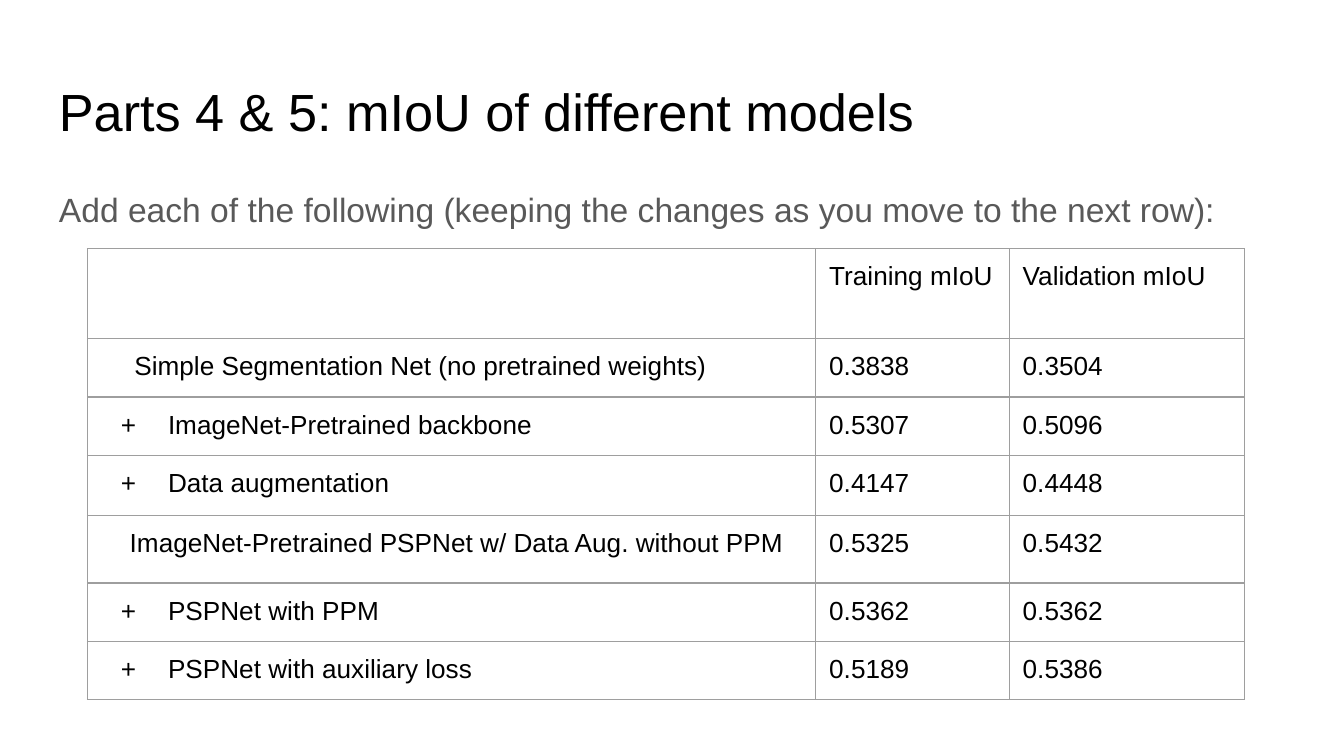
from dataclasses import dataclass
from lxml.etree import SubElement
from pptx import Presentation
from pptx.dml.color import RGBColor
from pptx.oxml.ns import qn
from pptx.util import Emu, Pt

SCALE = 4572
INSET = 20
INK, GREY, RULE = "000000", "595959", "9E9E9E"


@dataclass
class Row:
    label: str
    train: str
    valid: str
    high: int
    left: int = 0
    mark: str = ""


ROWS = [
    Row("", "Training mIoU", "Validation mIoU", 134),
    Row("Simple Segmentation Net (no pretrained weights)", "0.3838", "0.3504", 86, 50),
    Row("ImageNet-Pretrained backbone", "0.5307", "0.5096", 86, 100, "+"),
    Row("Data augmentation", "0.4147", "0.4448", 90, 100, "+"),
    Row("ImageNet-Pretrained PSPNet w/ Data Aug. without PPM", "0.5325", "0.5432", 100, 43),
    Row("PSPNet with PPM", "0.5362", "0.5362", 86, 100, "+"),
    Row("PSPNet with auxiliary loss", "0.5189", "0.5386", 86, 100, "+"),
]
WIDTHS = [1084, 288, 350]


def px(n: int) -> Emu:
    return Emu(n * SCALE)


def color(code: str) -> RGBColor:
    return RGBColor.from_string(code)


def write(frame, text: str, *, size: int = 14, ink: str = INK,
          space: float = 1.0, left: int = 0, mark: str = "") -> None:
    frame.word_wrap = True
    para = frame.paragraphs[0]
    para.line_spacing = space
    para.font.size = Pt(size)
    if text:
        run = para.add_run()
        run.text = text
        run.font.name = "Arial"
        run.font.size = Pt(size)
        run.font.color.rgb = color(ink)
    props = para._p.get_or_add_pPr()
    props.set("marL", str(px(left)))
    props.set("indent", str(px(-70 if mark else 0)))
    if mark:
        tint = SubElement(props, qn("a:buClr"))
        SubElement(tint, qn("a:srgbClr"), val=ink)
        SubElement(props, qn("a:buFont"), typeface="Arial")
        SubElement(props, qn("a:buChar"), char=mark)


def pad(item) -> None:
    item.margin_left = item.margin_right = px(INSET)
    item.margin_top = item.margin_bottom = px(INSET)


def add_text(slide, text: str, top: int, high: int, **style) -> None:
    box = slide.shapes.add_textbox(px(68), px(top), px(1864), px(high))
    pad(box.text_frame)
    write(box.text_frame, text, **style)


def edge(cell) -> None:
    props = cell._tc.get_or_add_tcPr()
    for side in ("lnL", "lnR", "lnT", "lnB"):
        line = SubElement(props, qn(f"a:{side}"), w=str(Pt(0.75)))
        fill = SubElement(line, qn("a:solidFill"))
        SubElement(fill, qn("a:srgbClr"), val=RULE)
    cell.fill.background()


def add_grid(slide, rows: list[Row]) -> None:
    high = sum(row.high for row in rows)
    shape = slide.shapes.add_table(len(rows), len(WIDTHS), px(130), px(370),
                                   px(sum(WIDTHS)), px(high))
    table = shape.table
    table.first_row = table.horz_banding = False
    for col, width in zip(table.columns, WIDTHS):
        col.width = px(width)
    for i, row in enumerate(rows):
        table.rows[i].height = px(row.high)
        for j, text in enumerate((row.label, row.train, row.valid)):
            cell = table.cell(i, j)
            pad(cell)
            edge(cell)
            style = {} if j else {"left": row.left, "mark": row.mark}
            write(cell.text_frame, text, **style)


def main() -> None:
    deck = Presentation()
    deck.slide_width, deck.slide_height = px(2000), px(1125)
    slide = deck.slides.add_slide(deck.slide_layouts[6])
    add_text(slide, "Parts 4 & 5: mIoU of different models", 98, 126, size=28)
    add_text(slide, "Add each of the following (keeping the changes as you move to the next row):",
             252, 748, size=18, ink=GREY, space=1.15)
    add_grid(slide, ROWS)
    deck.save("out.pptx")


if __name__ == "__main__":
    main()
